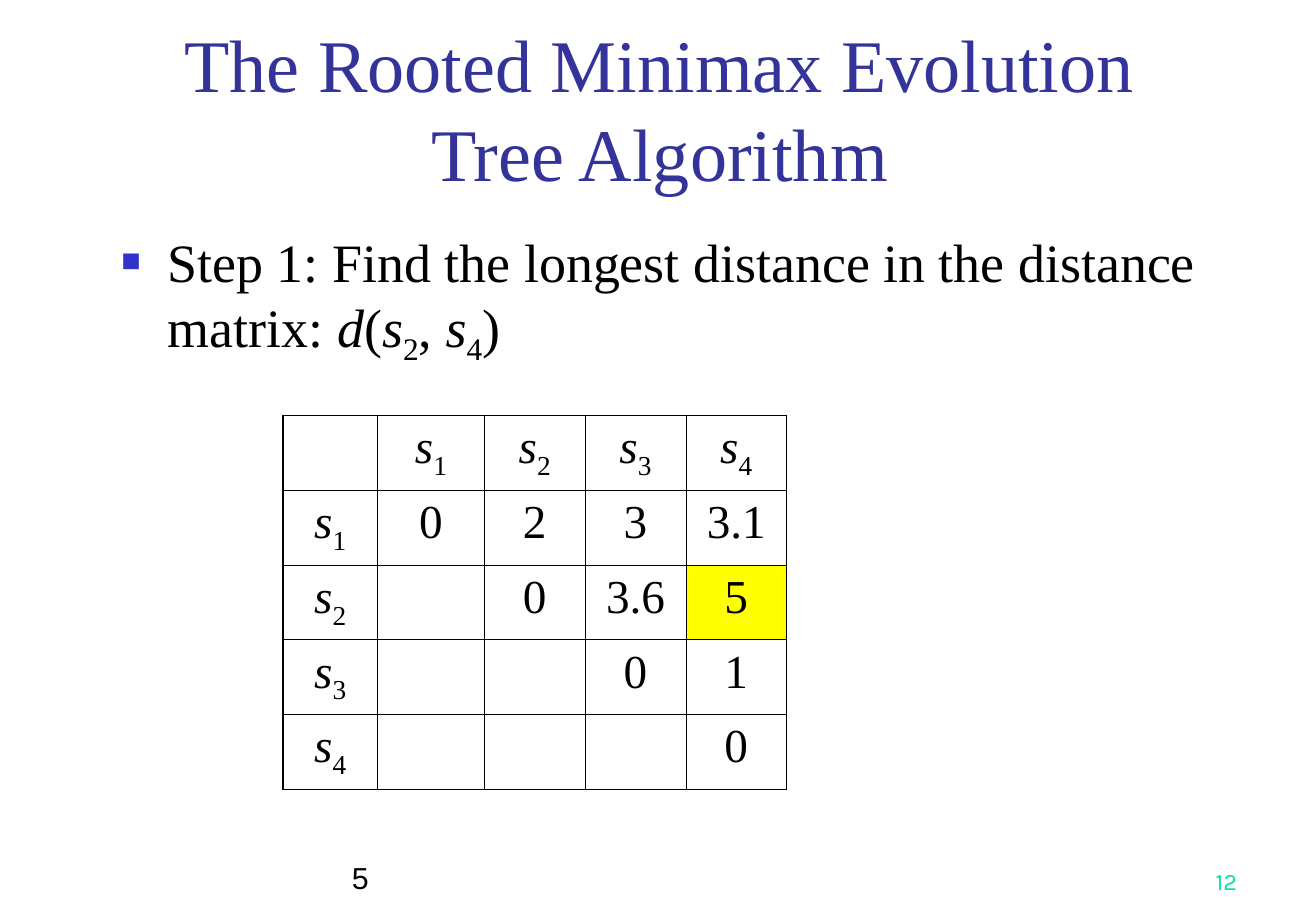
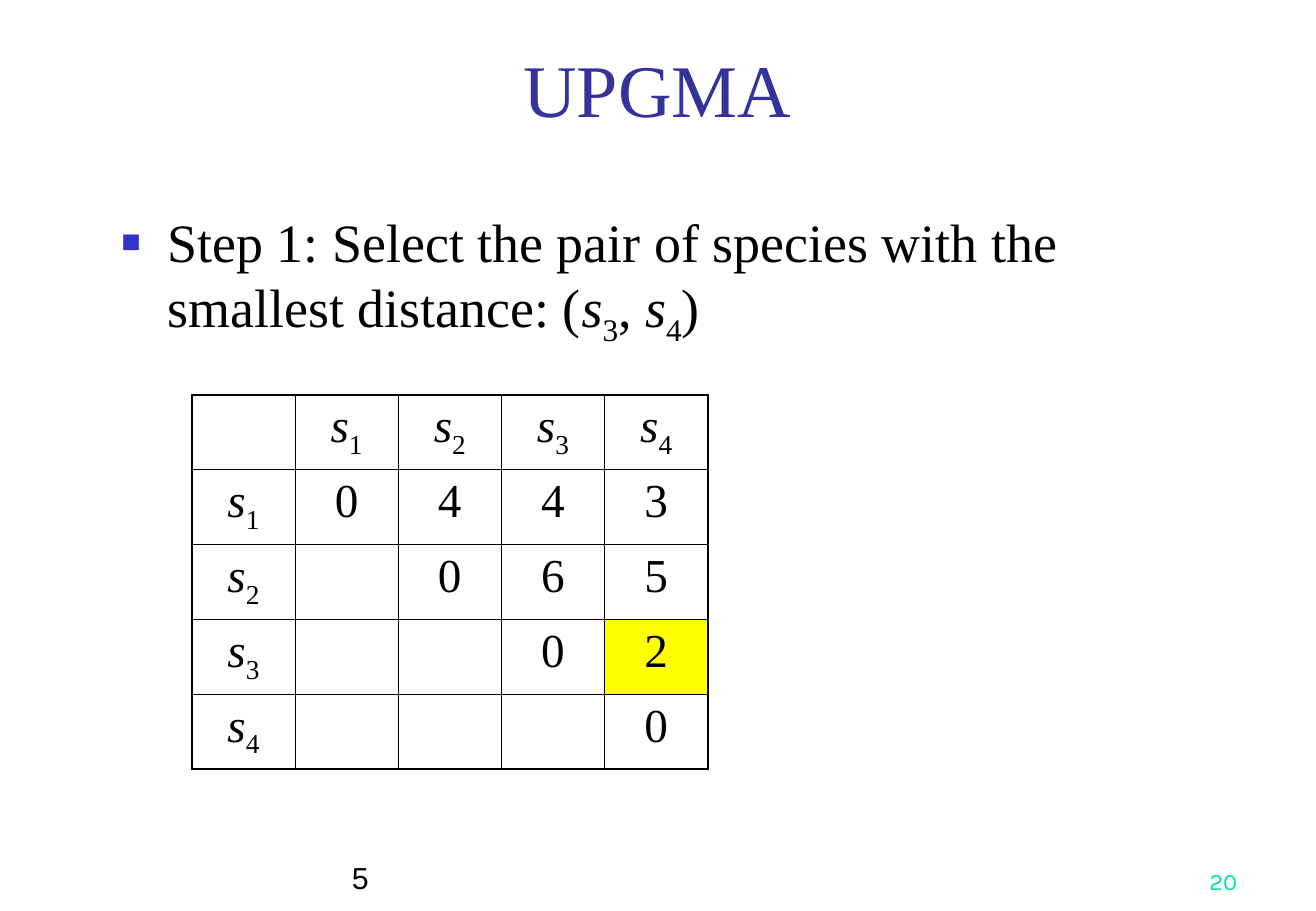
from dataclasses import dataclass

from pptx import Presentation
from pptx.dml.color import RGBColor
from pptx.enum.text import MSO_ANCHOR as Anchor, MSO_AUTO_SIZE as AutoSize, PP_ALIGN as Align
from pptx.oxml import parse_xml
from pptx.oxml.ns import nsdecls
from pptx.slide import Slide
from pptx.table import _Cell as Cell
from pptx.text.text import TextFrame, _Paragraph as Paragraph
from pptx.util import Inches, Pt


@dataclass(frozen=True)
class TextStyle:
    font: str
    size: int
    color: str


@dataclass(frozen=True)
class Theme:
    title: TextStyle = TextStyle("Times New Roman", 44, "333399")
    body: TextStyle = TextStyle("Times New Roman", 32, "000000")
    cell: TextStyle = TextStyle("Times New Roman", 28, "000000")
    footer: TextStyle = TextStyle("Arial", 18, "000000")
    number: TextStyle = TextStyle("Karla", 14, "00E4A8")
    bullet: str = "3333CC"
    highlight: str = "FFFF00"
    border: str = "000000"
    inner_line: float = 0.45
    outer_line: float = 1.08


THEME = Theme()


@dataclass(frozen=True)
class Span:
    text: str
    italic: bool = False
    subscript: bool = False


@dataclass(frozen=True)
class Box:
    left: float
    top: float
    width: float
    height: float

    def lengths(self) -> tuple[int, int, int, int]:
        return Inches(self.left), Inches(self.top), Inches(self.width), Inches(self.height)


@dataclass(frozen=True)
class Matrix:
    left: float
    top: float
    columns: list[float]
    upper_rows: list[list[str]]  # each row starts on the diagonal
    highlight: tuple[int, int]


@dataclass(frozen=True)
class MatrixPage:
    title: str
    title_box: Box
    step: list[Span]
    step_box: Box
    matrix: Matrix
    number: str


def species(index: int) -> list[Span]:
    return [Span("s", italic=True), Span(str(index), subscript=True)]


ROW_HEIGHT = 3.08 / 5
FOOTER_BOX = Box(2.8, 6.92, 5.78, 0.5)
NUMBER_BOX = Box(8.03, 6.92, 2.26, 0.5)

PAGES = [
    MatrixPage(
        title="The Rooted Minimax Evolution Tree Algorithm",
        title_box=Box(0.92, 0.83, 9.03, 0.84),
        step=[Span("Step 1: Find the longest distance in the distance matrix: "),
              Span("d", italic=True), Span("("), *species(2), Span(", "), *species(4), Span(")")],
        step_box=Box(0.9, 1.83, 9.21, 4.33),
        matrix=Matrix(2.33, 3.42, [0.78, 0.88, 0.83, 0.83, 0.83],
                      [["0", "2", "3", "3.1"], ["0", "3.6", "5"], ["0", "1"], ["0"]], (2, 4)),
        number="12",
    ),
    MatrixPage(
        title="UPGMA",
        title_box=Box(0.9, 0.58, 9.03, 0.56),
        step=[Span("Step 1: Select the pair of species with the smallest distance: ("),
              *species(3), Span(", "), *species(4), Span(")")],
        step_box=Box(0.9, 1.67, 9.21, 4.5),
        matrix=Matrix(1.58, 3.25, [0.85] * 5,
                      [["0", "4", "4", "3"], ["0", "6", "5"], ["0", "2"], ["0"]], (3, 4)),
        number="20",
    ),
]


# Text
def write(para: Paragraph, spans: list[Span], style: TextStyle, align: Align = Align.LEFT) -> None:
    para.alignment = align
    para.space_before = Pt(0)
    para.font.name = style.font
    para.font.size = Pt(style.size)
    para.font.color.rgb = RGBColor.from_string(style.color)
    for span in spans:
        run = para.add_run()
        run.text = span.text
        if span.italic:
            run.font.italic = True
        if span.subscript:
            run._r.get_or_add_rPr().set("baseline", "-25000")


def prepare_frame(frame: TextFrame, anchor: Anchor) -> Paragraph:
    frame.word_wrap = True
    frame.auto_size = AutoSize.NONE
    frame.vertical_anchor = anchor
    return frame.paragraphs[0]


def add_bullet(para: Paragraph) -> None:
    properties = para._p.get_or_add_pPr()
    properties.set("marL", str(Inches(0.38)))
    properties.set("indent", str(-Inches(0.38)))
    for xml in (
        f'<a:buClr {nsdecls("a")}><a:srgbClr val="{THEME.bullet}"/></a:buClr>',
        f'<a:buSzPct {nsdecls("a")} val="60000"/>',
        f'<a:buChar {nsdecls("a")} char="■"/>',
    ):
        properties.append(parse_xml(xml))


def fill_placeholder(shape, box: Box, anchor: Anchor) -> Paragraph:
    shape.left, shape.top, shape.width, shape.height = box.lengths()
    return prepare_frame(shape.text_frame, anchor)


def add_footer(page: Slide, box: Box, text: str, style: TextStyle, align: Align) -> None:
    shape = page.shapes.add_textbox(*box.lengths())
    write(prepare_frame(shape.text_frame, Anchor.BOTTOM), [Span(text)], style, align)


# Distance matrix
def set_borders(cell: Cell, row: int, column: int, last: int) -> None:
    outer_sides = {"L": column == 0, "R": column == last, "T": row == 0, "B": row == last}
    for side, outer in outer_sides.items():
        width = Pt(THEME.outer_line if outer else THEME.inner_line)
        cell._tc.get_or_add_tcPr().append(parse_xml(
            f'<a:ln{side} {nsdecls("a")} w="{width}"><a:solidFill>'
            f'<a:srgbClr val="{THEME.border}"/></a:solidFill></a:ln{side}>'))


def cell_spans(matrix: Matrix, row: int, column: int) -> list[Span]:
    if row == 0 or column == 0:
        return species(row + column) if row + column else []
    if column < row:
        return []
    return [Span(matrix.upper_rows[row - 1][column - row])]


def add_matrix(page: Slide, matrix: Matrix) -> None:
    size = len(matrix.columns)
    box = Box(matrix.left, matrix.top, sum(matrix.columns), ROW_HEIGHT * size)
    table = page.shapes.add_table(size, size, *box.lengths()).table
    table.first_row = table.horz_banding = False
    for index, width in enumerate(matrix.columns):
        table.columns[index].width = Inches(width)
        table.rows[index].height = Inches(ROW_HEIGHT)
    for row in range(size):
        for column in range(size):
            cell = table.cell(row, column)
            set_borders(cell, row, column, size - 1)
            if (row, column) == matrix.highlight:
                cell.fill.solid()
                cell.fill.fore_color.rgb = RGBColor.from_string(THEME.highlight)
            else:
                cell.fill.background()
            spans = cell_spans(matrix, row, column)
            write(cell.text_frame.paragraphs[0], spans, THEME.cell, Align.CENTER)


# Slides
def add_page(deck: Presentation, content: MatrixPage) -> None:
    page = deck.slides.add_slide(deck.slide_layouts[1])
    title = fill_placeholder(page.shapes.title, content.title_box, Anchor.BOTTOM)
    write(title, [Span(content.title)], THEME.title, Align.CENTER)
    step = fill_placeholder(page.placeholders[1], content.step_box, Anchor.TOP)
    add_bullet(step)
    write(step, content.step, THEME.body)
    add_matrix(page, content.matrix)
    add_footer(page, FOOTER_BOX, "5", THEME.footer, Align.LEFT)
    add_footer(page, NUMBER_BOX, content.number, THEME.number, Align.RIGHT)


def main() -> None:
    deck = Presentation()
    deck.slide_width, deck.slide_height = Inches(10.84), Inches(7.5)
    for content in PAGES:
        add_page(deck, content)
    deck.save("out.pptx")


if __name__ == "__main__":
    main()
